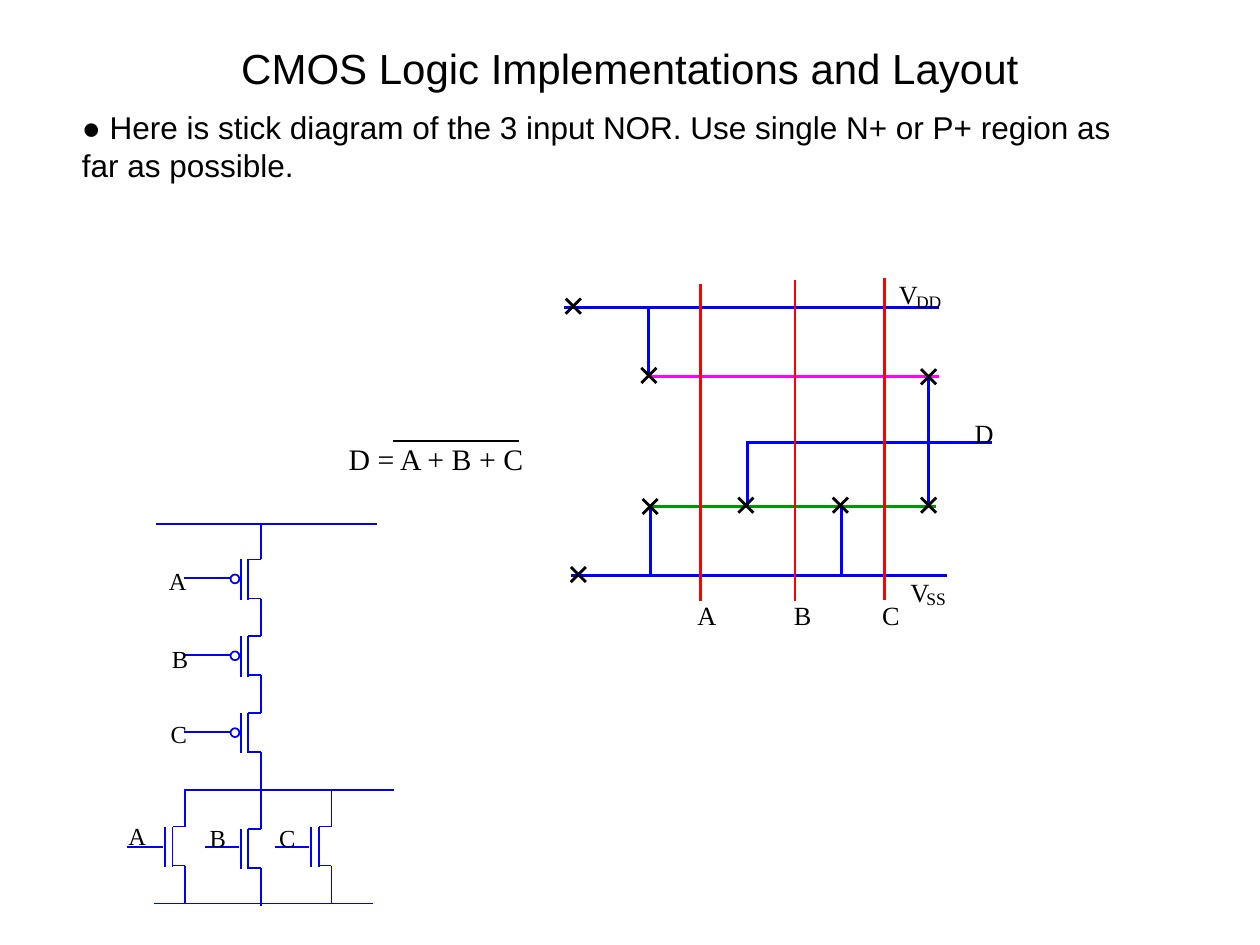
from lxml.etree import SubElement
from pptx import Presentation
from pptx.dml.color import RGBColor
from pptx.enum.shapes import MSO_CONNECTOR, MSO_SHAPE
from pptx.enum.text import MSO_ANCHOR, MSO_AUTO_SIZE, PP_ALIGN
from pptx.oxml.ns import qn
from pptx.util import Inches, Pt

THEME = {
    "black": RGBColor(0, 0, 0),
    "white": RGBColor(255, 255, 255),
    "metal": RGBColor(0, 0, 255),
    "poly": RGBColor(255, 0, 0),
    "pdiff": RGBColor(255, 0, 255),
    "ndiff": RGBColor(0, 0x98, 0),
    "sans": "Arial",
    "serif": "Times New Roman",
    "title": 24, "body": 18, "formula": 17,
    "stick": 15, "gate": 14, "sub": 10,
    "thick": 1.62, "over": 1.13, "thin": 1,
}

deck = Presentation()
deck.slide_width, deck.slide_height = Inches(10), Inches(7.5)
slide = deck.slides.add_slide(deck.slide_layouts[1])
shapes = slide.shapes


def write(text, box, shape=None, size="stick", font="serif",
          align=PP_ALIGN.CENTER, pad=(0, 0), wrap=False, before=0):
    """Put formatted text in the given shape, or in a new text box."""
    area = [Inches(v) for v in box]
    if shape is None:
        shape = shapes.add_textbox(*area)
    shape.left, shape.top, shape.width, shape.height = area
    frame = shape.text_frame
    frame.auto_size = MSO_AUTO_SIZE.NONE
    frame.word_wrap = wrap
    frame.vertical_anchor = MSO_ANCHOR.TOP
    frame.margin_left = frame.margin_right = Inches(pad[0])
    frame.margin_top = frame.margin_bottom = Inches(pad[1])
    para = frame.paragraphs[0]
    para.alignment = align
    para.space_before = Pt(before)
    run = para.add_run()
    run.text = text
    run.font.size = Pt(THEME[size])
    run.font.name = THEME[font]
    run.font.color.rgb = THEME["black"]
    return para


def line(x1, y1, x2, y2, color="metal", width="thin"):
    wire = shapes.add_connector(MSO_CONNECTOR.STRAIGHT, Inches(x1), Inches(y1),
                                Inches(x2), Inches(y2))
    wire.line.color.rgb = THEME[color]
    wire.line.width = Pt(THEME[width])
    SubElement(wire._element.spPr, qn("a:effectLst"))


# Heading and body; the mark is inline, as the second line does not hang
write("CMOS Logic Implementations and Layout", (0.36, 0.29, 9.28, 0.5),
      shapes.title, size="title", font="sans", pad=(0.1, 0.05), wrap=True,
      before=15)
body = write("● Here is stick diagram of the 3 input NOR. "
             "Use single N+ or P+ region as far as possible.",
             (0.55, 0.81, 8.72, 0.7), slide.placeholders[1], size="body",
             font="sans", align=PP_ALIGN.LEFT, pad=(0.1, 0.05), wrap=True,
             before=11.2)
props = body._p.get_or_add_pPr()
props.set("marL", "0")
props.set("indent", "0")
SubElement(props, qn("a:buNone"))

# Formula
write("D = A + B + C", (2.77, 3.5, 1.38, 0.28), size="formula")
line(3.12, 3.5, 4.12, 3.5, "black", "over")

# Stick diagram: rails, straps, diffusion, gates
sticks = [
    (4.48, 2.44, 7.45, 2.44, "metal"),
    (4.53, 4.57, 7.52, 4.57, "metal"),
    (5.15, 2.44, 5.15, 2.99, "metal"),
    (5.16, 4.02, 5.16, 4.57, "metal"),
    (7.37, 2.98, 7.37, 4.02, "metal"),
    (5.15, 2.99, 7.45, 2.99, "pdiff"),
    (5.15, 4.02, 7.43, 4.02, "ndiff"),
    (5.93, 3.51, 5.93, 4.02, "metal"),
    (5.92, 3.51, 7.87, 3.51, "metal"),
    (6.68, 4.02, 6.68, 4.57, "metal"),
    (5.56, 2.25, 5.56, 4.77, "poly"),
    (6.31, 2.22, 6.31, 4.77, "poly"),
    (7.02, 2.21, 7.02, 4.76, "poly"),
]
for stick in sticks:
    line(*stick, "thick")

# Contacts
arm = 0.06
for x, y in [(4.59, 4.56), (4.55, 2.43), (5.15, 2.98), (5.92, 4.01),
             (7.37, 2.99), (5.16, 4.02), (6.67, 4.01), (7.37, 4.01)]:
    for rise in (arm, -arm):
        line(x - arm, y + rise, x + arm, y - rise, "black", "thick")

# Transistors: x of the channel leads, top, start of the upper lead
series, pitch, rows = 2.07, 0.61, range(3)
tops = [4.44 + pitch * row for row in rows]
pairs = [(series, top, 4.16 if top == tops[0] else top) for top in tops]
pairs += [(1.47, 6.56, 6.27), (series, 6.58, 6.27), (2.63, 6.56, 6.27)]
for x, top, start in pairs:
    low = top + 0.31
    if start < top:
        line(x, start, x, top)
    line(x, low, x, low + 0.3)
    for y in (top, low):
        line(x, y, x - 0.1, y)
    for gap in (0.1, 0.16):
        line(x - gap, top, x - gap, top + 0.32)

# Inverting gates of the series chain
for top in tops:
    line(1.46, top + 0.15, 1.83, top + 0.15)
    bubble = shapes.add_shape(MSO_SHAPE.OVAL, Inches(1.83), Inches(top + 0.12),
                              Inches(0.07), Inches(0.07))
    bubble.shadow.inherit = False
    bubble.fill.solid()
    bubble.fill.fore_color.rgb = THEME["white"]
    bubble.line.color.rgb = THEME["metal"]
    bubble.line.width = Pt(THEME["thin"])

# Supply, output and ground rails, then the parallel gates
for left, right, y in [(1.24, 2.99, 4.16), (1.46, 3.13, 6.27),
                       (1.22, 2.96, 7.17), (1.01, 1.29, 6.72),
                       (1.63, 1.9, 6.72), (2.18, 2.45, 6.72)]:
    line(left, y, right, y)

# Labels
labels = [
    ("V", 7.14, 2.21, "stick"), ("DD", 7.27, 2.31, "sub"),
    ("V", 7.23, 4.57, "stick"), ("SS", 7.36, 4.67, "sub"),
    ("A", 5.54, 4.76, "stick"), ("B", 6.3, 4.76, "stick"),
    ("C", 7, 4.76, "stick"), ("D", 7.74, 3.31, "stick"),
    ("A", 1.34, 4.49, "gate"), ("B", 1.36, 5.11, "gate"),
    ("C", 1.35, 5.71, "gate"), ("A", 1.02, 6.52, "gate"),
    ("B", 1.66, 6.53, "gate"), ("C", 2.21, 6.53, "gate"),
]
tall = {"stick": 0.25, "gate": 0.23, "sub": 0.17}
for text, x, y, size in labels:
    write(text, (x, y, 0.2 if text == "DD" else 0.14, tall[size]), size=size)

deck.save("out.pptx")
